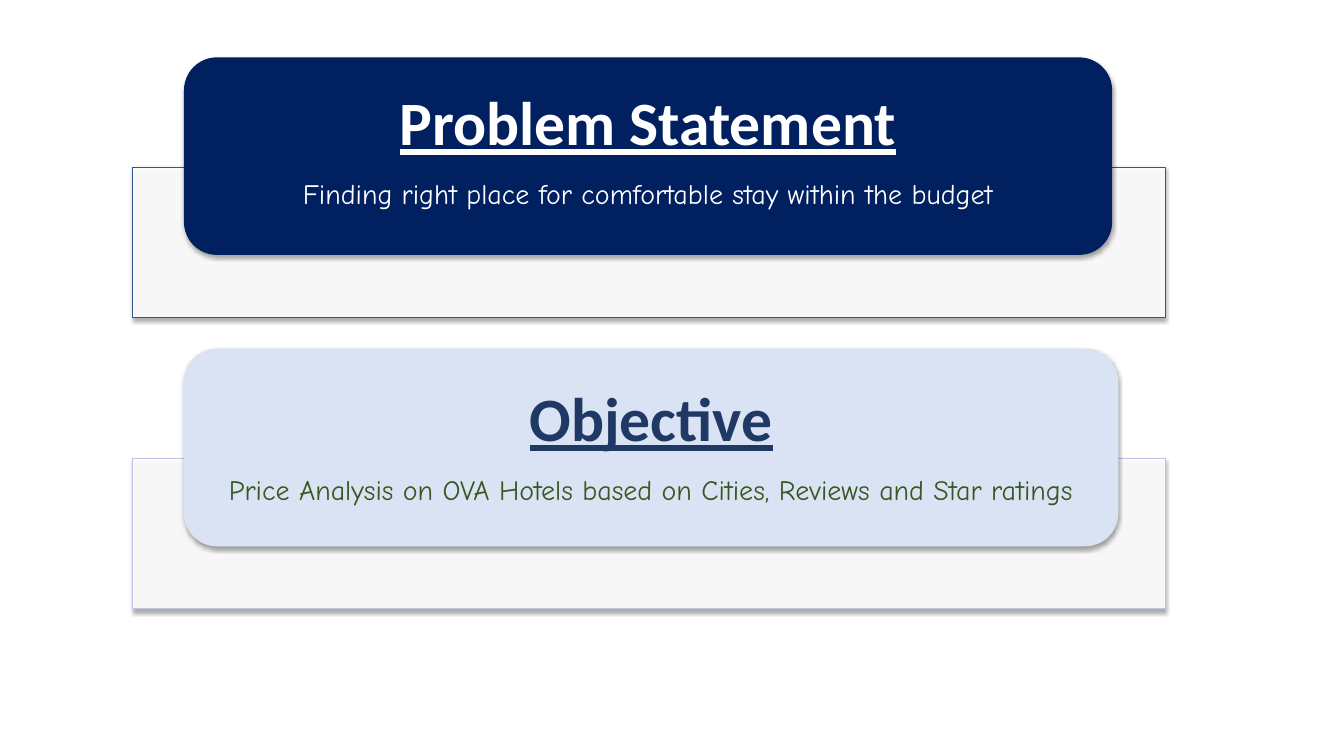
from lxml import etree
from pptx import Presentation
from pptx.dml.color import RGBColor
from pptx.enum.shapes import MSO_SHAPE
from pptx.enum.text import MSO_ANCHOR, PP_ALIGN
from pptx.oxml.ns import qn
from pptx.util import Pt

RECT = MSO_SHAPE.RECTANGLE
ROUNDED = MSO_SHAPE.ROUNDED_RECTANGLE
MIDDLE = MSO_ANCHOR.MIDDLE
CENTER = PP_ALIGN.CENTER

COLORS = {
    "white": "FFFFFF",
    "navy": "002060",
    "navy_line": "325491",
    "pale": "DAE3F3",
    "pale_line": "BCC6E2",
    "heading": "203864",
    "green": "385723",
    "shadow": "000000",
}

LEFT, TOP, WIDTH, HEIGHT = 95, 41, 737.3, 185.8
PITCH = 208.1
PANEL_DROP = 78.5
CARD_INDENT = 36.4
CARD_HEIGHT = 141.1

SECTIONS = [
    {"title": "Problem Statement",
     "detail": "Finding right place for comfortable stay within the budget",
     "fill": "navy", "line": "navy_line", "title_color": "white",
     "detail_color": "white", "card_width": 663, "lift": 7},
    {"title": "Objective",
     "detail": "Price Analysis on OVA Hotels based on Cities, Reviews and Star ratings",
     "fill": "pale", "line": "pale_line", "title_color": "heading",
     "detail_color": "green", "card_width": 667.4, "lift": 0},
]


def rgb(name):
    return RGBColor.from_string(COLORS[name])


def add_alpha(color, percent):
    etree.SubElement(color, qn("a:alpha"), val=str(percent * 1000))


def add_box(slide, kind, x, y, w, h, fill):
    sp = slide.shapes.add_shape(kind, Pt(x), Pt(y), Pt(w), Pt(h))
    sp.fill.solid()
    sp.fill.fore_color.rgb = rgb(fill)
    sp.line.fill.background()
    sp.shadow.inherit = False
    effects = sp.element.spPr.find(qn("a:effectLst"))
    shadow = etree.SubElement(
        effects, qn("a:outerShdw"), blurRad=str(Pt(3.1)), dist=str(Pt(1.8)),
        dir="5400000", algn="ctr", rotWithShape="0")
    color = etree.SubElement(shadow, qn("a:srgbClr"), val=COLORS["shadow"])
    add_alpha(color, 35)
    return sp


def write_line(p, text, font, size, color, heading):
    p.text = text
    p.alignment = CENTER
    p.line_spacing = 0.9
    r = p.runs[0]
    r.font.name = font
    r.font.size = Pt(size)
    r.font.color.rgb = rgb(color)
    r.font.bold = heading
    r.font.underline = heading


def add_section(slide, x, y, w, h, section):
    panel = add_box(slide, RECT, x, y + PANEL_DROP, w, h - PANEL_DROP, "white")
    add_alpha(panel.element.spPr.find(qn("a:solidFill"))[0], 90)
    panel.line.color.rgb = rgb(section["line"])
    panel.line.width = Pt(0.75)

    card = add_box(slide, ROUNDED, x + CARD_INDENT, y, section["card_width"],
                   CARD_HEIGHT, section["fill"])
    tf = card.text_frame
    tf.word_wrap = True
    tf.vertical_anchor = MIDDLE
    tf.margin_left = tf.margin_right = Pt(20)
    tf.margin_top = 0
    tf.margin_bottom = Pt(section["lift"])
    p = tf.paragraphs[0]
    write_line(p, section["title"], "Calibri", 44, section["title_color"], True)
    p.space_after = Pt(15)
    write_line(tf.add_paragraph(), section["detail"], "Comic Neue", 20,
               section["detail_color"], False)


def main():
    prs = Presentation()
    prs.slide_width, prs.slide_height = Pt(960), Pt(540)
    slide = prs.slides.add_slide(prs.slide_layouts[6])
    for i, section in enumerate(SECTIONS):
        add_section(slide, LEFT, TOP + i * PITCH, WIDTH, HEIGHT, section)
    prs.save("out.pptx")


if __name__ == "__main__":
    main()
